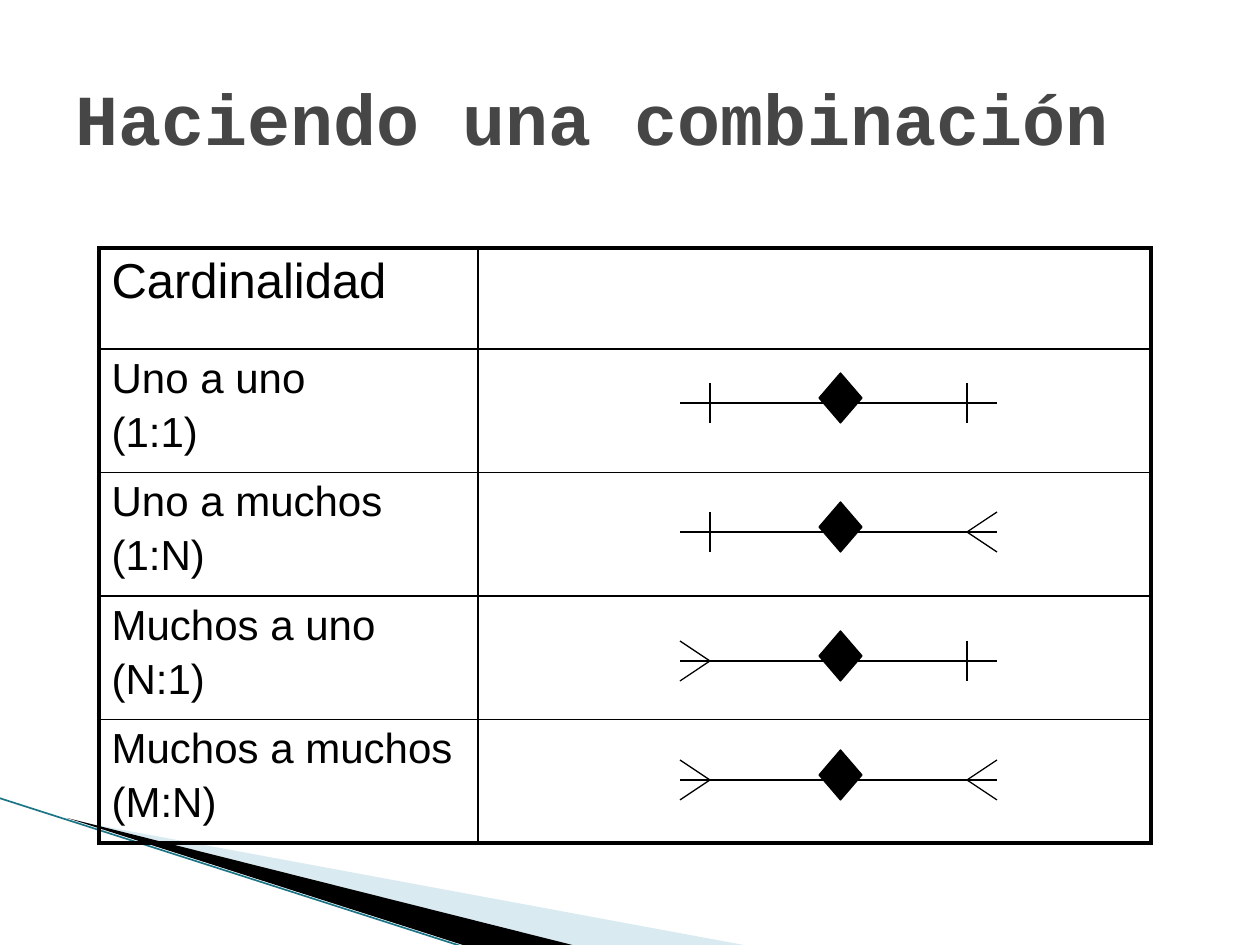
from lxml import etree
from pptx import Presentation
from pptx.dml.color import RGBColor
from pptx.enum.shapes import MSO_CONNECTOR, MSO_SHAPE
from pptx.enum.text import MSO_ANCHOR
from pptx.oxml import parse_xml
from pptx.oxml.ns import nsdecls, qn
from pptx.util import Pt

PX = 914400 / 126  # EMU per pixel
BLACK = RGBColor(0x00, 0x00, 0x00)
TITLE_GREY = RGBColor(0x46, 0x46, 0x46)
PALE_BLUE = RGBColor(0xA0, 0xCB, 0xDC)
TEAL = RGBColor(0x1B, 0x75, 0x87)

THICK, THIN = 2.25, 1
HEADER = "Cardinalidad"
# name, ratio, left end is many, right end is many, y of the axis
CARDINALITIES = [
    ("Uno a uno", "(1:1)", False, False, 403),
    ("Uno a muchos", "(1:N)", False, True, 532),
    ("Muchos a uno", "(N:1)", True, False, 661),
    ("Muchos a muchos", "(M:N)", True, True, 780),
]
LEFT_END, RIGHT_END = 680, 997
FOOT = 30  # distance from an end of the axis to its mark
ARM = 20


def px(n):
    return round(n * PX)


def add_line(s, x1, y1, x2, y2, color=BLACK, width=0.75):
    line = s.shapes.add_connector(
        MSO_CONNECTOR.STRAIGHT, px(x1), px(y1), px(x2), px(y2))
    line.line.color.rgb = color
    line.line.width = Pt(width)
    etree.SubElement(line._element.spPr, qn("a:effectLst"))


def add_wedge(s, points, color, alpha=None):
    """Filled polygon; alpha is its opacity in percent."""
    fb = s.shapes.build_freeform(*points[0], scale=PX)
    fb.add_line_segments(points[1:])
    sp = fb.convert_to_shape()
    sp.shadow.inherit = False
    sp.fill.solid()
    sp.fill.fore_color.rgb = color
    sp.line.fill.background()
    if alpha is not None:
        clr = sp._element.spPr.find(".//" + qn("a:srgbClr"))
        etree.SubElement(clr, qn("a:alpha"), val=str(alpha * 1000))


def add_swoosh(s):
    add_wedge(s, [(69, 820), (749, 946), (575, 946)], PALE_BLUE, 40)
    add_wedge(s, [(67, 818), (576, 946), (469, 947)], BLACK)
    add_line(s, -1, 798, 467, 948, TEAL, 0.95)


def add_title(s, text):
    tf = s.shapes.add_textbox(px(63), px(38), px(1134), px(158)).text_frame
    tf.word_wrap = True
    tf.vertical_anchor = MSO_ANCHOR.MIDDLE
    p = tf.paragraphs[0]
    p.text = text
    p.font.name, p.font.size, p.font.bold = "Courier New", Pt(41), True
    p.font.color.rgb = TITLE_GREY


def set_borders(cell, **widths):
    tcPr = cell._tc.get_or_add_tcPr()
    for side in "LRTB":
        tcPr.append(parse_xml(
            f'<a:ln{side} {nsdecls("a")} w="{Pt(widths[side])}">'
            f'<a:solidFill><a:srgbClr val="{BLACK}"/></a:solidFill></a:ln{side}>'))


def write_cell(cell, lines, size):
    cell.text = "\n".join(lines)
    for p in cell.text_frame.paragraphs:
        p.space_before = Pt(4)
        p.font.name, p.font.size = "Arial", Pt(size)
        p.font.color.rgb = BLACK


def add_cardinality_table(s):
    n = len(CARDINALITIES) + 1
    table = s.shapes.add_table(
        n, 2, px(99), px(248), px(1052), px(595)).table
    table.first_row = table.horz_banding = False
    for col, width in zip(table.columns, (379, 673)):
        col.width = px(width)
    for i, row in enumerate(table.rows):
        row.height = px(123.5 if i else 101)
        for j, cell in enumerate(row.cells):
            set_borders(cell,
                        L=THIN if j else THICK,
                        R=THICK if j else THIN,
                        T=THIN if i else THICK,
                        B=THICK if i == n - 1 else THIN)
            cell.fill.background()
    write_cell(table.cell(0, 0), [HEADER], 28)
    for i, (name, ratio, *_) in enumerate(CARDINALITIES, 1):
        write_cell(table.cell(i, 0), [name, ratio], 24)


def add_end_mark(s, end, foot, y, many):
    """Crow's foot for many, upright bar for one."""
    if many:
        add_line(s, foot, y, end, y - ARM)
        add_line(s, foot, y, end, y + ARM)
    else:
        add_line(s, foot, y - ARM, foot, y + ARM)


def add_relation(s, y, left_many, right_many):
    add_line(s, LEFT_END, y, RIGHT_END, y)
    add_end_mark(s, LEFT_END, LEFT_END + FOOT, y, left_many)
    add_end_mark(s, RIGHT_END, RIGHT_END - FOOT, y, right_many)
    sp = s.shapes.add_shape(
        MSO_SHAPE.DIAMOND, px(819), px(y - 30), px(43), px(50))
    sp.shadow.inherit = False
    sp.fill.solid()
    sp.fill.fore_color.rgb = BLACK
    sp.line.color.rgb = BLACK
    sp.line.width = Pt(0.75)


def main():
    prs = Presentation()
    prs.slide_width, prs.slide_height = px(1260), px(945)
    s = prs.slides.add_slide(prs.slide_layouts[6])
    add_swoosh(s)
    add_title(s, "Haciendo una combinación")
    add_cardinality_table(s)
    for _, _, left_many, right_many, y in CARDINALITIES:
        add_relation(s, y, left_many, right_many)
    prs.save("out.pptx")


if __name__ == "__main__":
    main()
